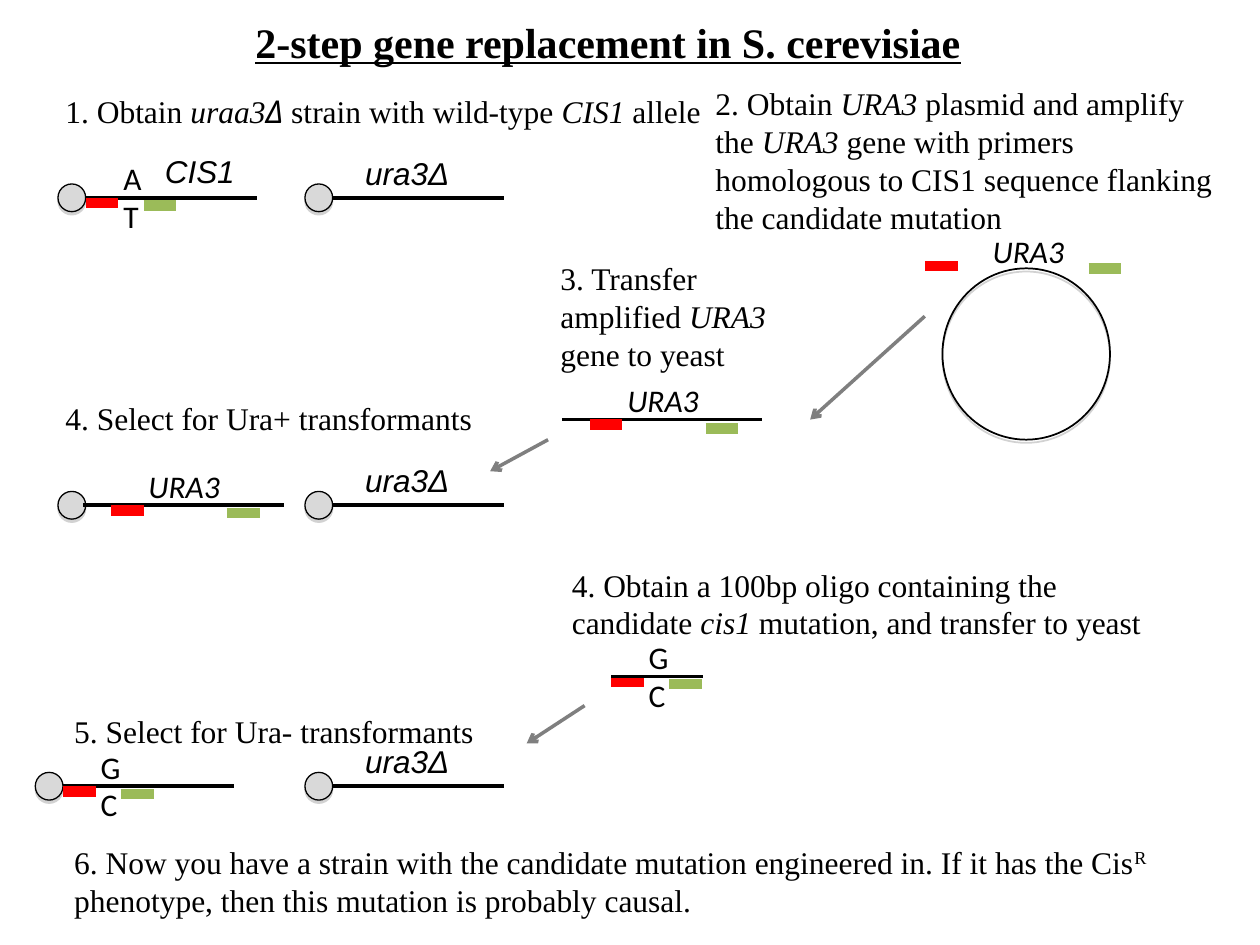
from lxml.etree import SubElement
from pptx import Presentation
from pptx.dml.color import RGBColor
from pptx.enum.shapes import MSO_CONNECTOR, MSO_SHAPE
from pptx.enum.text import MSO_AUTO_SIZE, PP_ALIGN
from pptx.oxml.ns import qn
from pptx.util import Inches, Pt

BLACK = RGBColor(0x00, 0x00, 0x00)
GRAY = RGBColor(0x7F, 0x7F, 0x7F)
LIGHT_GRAY = RGBColor(0xD9, 0xD9, 0xD9)
RED = RGBColor(0xFF, 0x00, 0x00)
GREEN = RGBColor(0x9B, 0xBB, 0x59)
STRAND_LENGTH = 1.58
PRIMER_LENGTH = 0.26


def write(paragraph, text, font="Times New Roman", size=18, bold=False,
          italic=False, underline=False, superscript=False):
    for index, line in enumerate(text.split("\n")):
        if index:
            paragraph.add_line_break()
        run = paragraph.add_run()
        run.text = line
        run.font.name = font
        run.font.size = Pt(size)
        run.font.bold = bold
        run.font.italic = italic
        run.font.underline = underline
        run.font.color.rgb = BLACK
        if superscript:
            run.font._element.set("baseline", "30000")


class GeneDiagram:
    """Draws strands, primers, plasmids and captions on one slide."""

    def __init__(self, slide):
        self.slide = slide

    def text(self, left, top, width, height, *pieces, align=PP_ALIGN.LEFT, **style):
        shape = self.slide.shapes.add_textbox(
            Inches(left), Inches(top), Inches(width), Inches(height))
        frame = shape.text_frame
        frame.word_wrap = True
        frame.auto_size = MSO_AUTO_SIZE.SHAPE_TO_FIT_TEXT
        paragraph = frame.paragraphs[0]
        paragraph.alignment = align
        for piece in pieces:
            content, changes = (piece, {}) if isinstance(piece, str) else piece
            write(paragraph, content, **{**style, **changes})

    def line(self, start, end, color=BLACK, width=2, arrow=False):
        connector = self.slide.shapes.add_connector(
            MSO_CONNECTOR.STRAIGHT, *(Inches(value) for value in (*start, *end)))
        connector.line.color.rgb = color
        connector.line.width = Pt(width)
        if arrow:
            SubElement(connector.line._get_or_add_ln(), qn("a:tailEnd"), type="arrow")
        SubElement(connector._element.spPr, qn("a:effectLst"))

    def ellipse(self, left, top, width, height, fill=None, line_width=0.75):
        shape = self.slide.shapes.add_shape(
            MSO_SHAPE.OVAL, Inches(left), Inches(top), Inches(width), Inches(height))
        shape.shadow.inherit = False
        if fill is None:
            shape.fill.background()
        else:
            shape.fill.solid()
            shape.fill.fore_color.rgb = fill
        shape.line.color.rgb = BLACK
        shape.line.width = Pt(line_width)
        effects = shape._element.spPr.find(qn("a:effectLst"))
        shadow = SubElement(effects, qn("a:outerShdw"), blurRad="0",
                            dist=str(Pt(1.8)), dir="5400000", rotWithShape="0")
        color = SubElement(shadow, qn("a:srgbClr"), val="808080")
        SubElement(color, qn("a:alpha"), val="35000")

    def strand(self, left, y, length=STRAND_LENGTH):
        self.line((left, y), (left + length, y))

    def centromere(self, left, y):
        self.ellipse(left, y - 0.11, 0.22, 0.22, LIGHT_GRAY)

    def chromosome(self, left, y):
        self.strand(left, y)
        self.centromere(left, y)

    def primers(self, red_left, green_left, y, green_drop=0.06):
        for left, drop, color in ((red_left, 0.04, RED), (green_left, green_drop, GREEN)):
            self.line((left, y + drop), (left + PRIMER_LENGTH, y + drop), color, 6)

    def ura3_label(self, left, top):
        self.text(left, top, 0.98, 0.4, "URA3", font="Calibri", italic=True)

    def cassette(self, left, y, green_drop=0.06):
        self.strand(left, y, 1.59)
        self.primers(left + 0.22, left + 1.14, y, green_drop)
        self.ura3_label(left + 0.42, y - 0.355)

    def mutation_site(self, left, y, base_pair):
        self.primers(left, left + 0.46, y)
        self.text(left + 0.2, y - 0.355, 0.72, 0.7, base_pair, font="Calibri")

    def deletion_chromosome(self, y):
        self.chromosome(2.42, y)
        self.text(2.8, y - 0.4, 1.21, 0.4, "ura3Δ", font="Arial", italic=True)


def main():
    presentation = Presentation()
    presentation.slide_width = Inches(10)
    presentation.slide_height = Inches(7.5)
    diagram = GeneDiagram(presentation.slides.add_slide(presentation.slide_layouts[6]))
    italic = {"italic": True}

    diagram.text(1.67, 0.08, 6.31, 0.9, "2-step gene replacement in S. cerevisiae",
                 align=PP_ALIGN.CENTER, size=24, bold=True, underline=True)

    diagram.text(0.42, 0.68, 5.35, 0.7, "1. Obtain ", ("uraa3", italic),
                 ("Δ", {"font": "Noto Sans", "italic": True}),
                 " strand with wild-type ".replace("strand", "strain"),
                 ("CIS1", italic), " allele")
    diagram.text(1.21, 1.16, 1.2, 0.4, "CIS1", font="Arial", italic=True)
    diagram.chromosome(0.46, 1.57)
    diagram.mutation_site(0.68, 1.57, "A\nT")

    diagram.text(5.58, 0.62, 4.23, 1.6, "2. Obtain ", ("URA3", italic),
                 " plasmid and amplify the ", ("URA3", italic),
                 " gene with primers homologous to CIS1 sequence flanking"
                 " the candidate mutation")
    diagram.ellipse(7.48, 2.13, 1.33, 1.36, line_width=1)
    diagram.ura3_label(7.78, 1.79)
    diagram.primers(7.34, 8.64, 2.07)

    diagram.text(4.35, 2.01, 1.93, 1.3, "3. Transfer amplified ", ("URA3", italic),
                 " gene to yeast")
    diagram.cassette(4.46, 3.33, green_drop=0.07)

    diagram.text(0.42, 3.12, 3.58, 0.7, "4. Select for Ura+ transformants")
    diagram.centromere(0.46, 4.01)
    diagram.cassette(0.66, 4.01)

    diagram.text(4.44, 4.44, 4.83, 1, "4. Obtain a 100bp oligo containing the candidate ",
                 ("cis1", italic), " mutation, and transfer to yeast")
    diagram.mutation_site(4.85, 5.37, "G\nC")
    diagram.strand(4.85, 5.37, 0.73)

    diagram.text(0.49, 5.6, 4.66, 0.4, "5. Select for Ura- transformants")
    diagram.chromosome(0.28, 6.24)
    diagram.mutation_site(0.5, 6.24, "G\nC")

    for y in (1.57, 4.01, 6.24):
        diagram.deletion_chromosome(y)

    diagram.text(0.49, 6.64, 9.21, 0.7,
                 "6. Now you have a strain with the candidate mutation engineered in."
                 " If it has the Cis", ("R", {"superscript": True}),
                 " phenotype, then this mutation is probably causal.")

    for start, end in (((7.34, 2.51), (6.43, 3.33)),
                       ((4.35, 3.49), (3.89, 3.74)),
                       ((4.64, 5.6), (4.18, 5.9))):
        diagram.line(start, end, GRAY, arrow=True)

    presentation.save("out.pptx")


if __name__ == "__main__":
    main()
